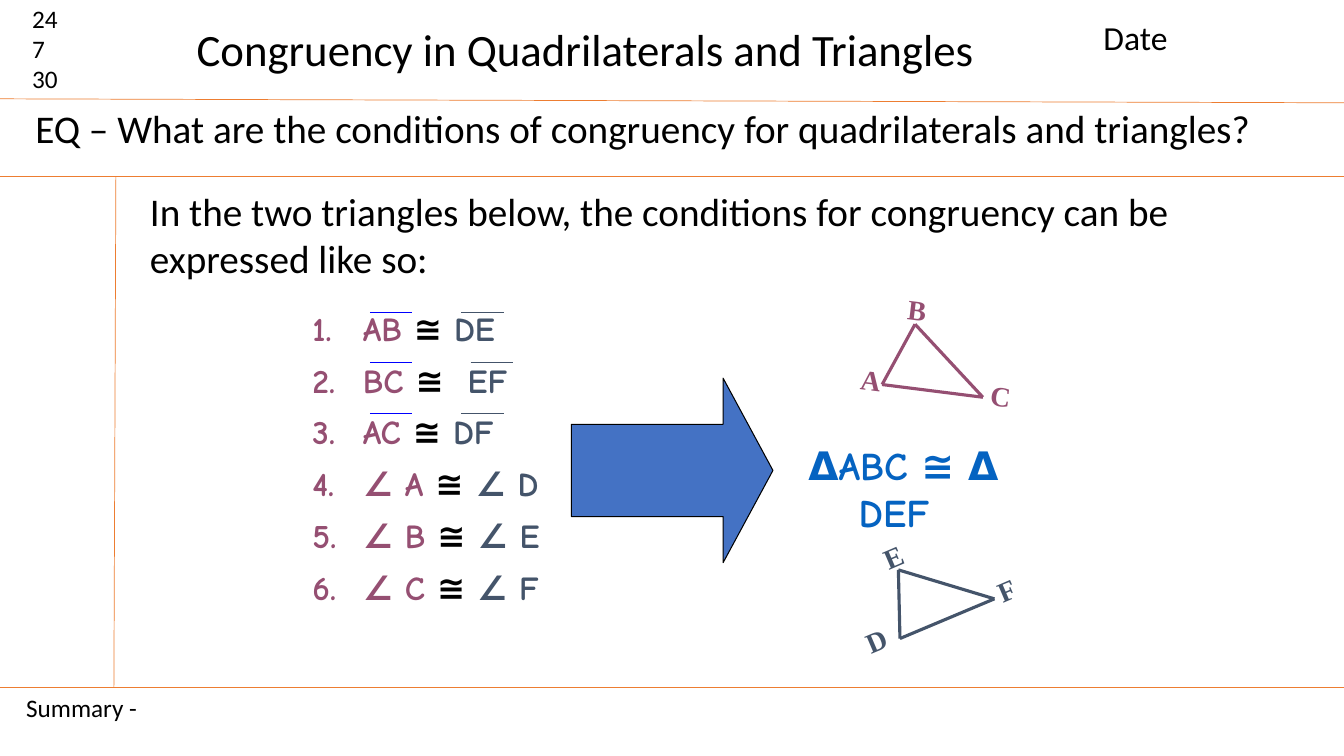
from itertools import combinations

from lxml.etree import SubElement
from pptx import Presentation
from pptx.dml.color import RGBColor
from pptx.enum.shapes import MSO_CONNECTOR as Connector
from pptx.enum.shapes import MSO_SHAPE as Preset
from pptx.enum.text import MSO_ANCHOR as Anchor
from pptx.enum.text import MSO_AUTO_SIZE as AutoSize
from pptx.enum.text import PP_ALIGN as Align
from pptx.oxml.ns import qn
from pptx.util import Cm, Pt

WIDTH, HEIGHT = 33.87, 19.05
BLACK, ORANGE, PLUM, SLATE = "000000", "ED7D31", "954F72", "44546A"
BLUE, LINK_BLUE, OVERLINE_BLUE = "4472C4", "0563C1", "0000FF"
COMIC, TIMES = "Comic Neue", "Times New Roman"

TITLE = "Congruency in Quadrilaterals and Triangles"
# text, (left, top, width, height) in cm, size in points
NOTES = [
    (["24", "7", "30"], (0.56, -0.05, 1.6, 2.57), 18),
    (["Date"], (27.56, 0.3, 4.39, 1.27), 24),
    (["EQ – What are the conditions of congruency for quadrilaterals and triangles?"],
     (0.64, 2.51, 31.32, 1.45), 28),
    (["Summary -"], (0.41, 17.32, 3.48, 1.02), 18),
    (["In the two triangles below, the conditions for congruency can be expressed like so:"],
     (3.53, 4.6, 29.74, 2.64), 28),
]
CONCLUSION = "ΔABC ≅ Δ DEF"
CONDITIONS = [
    ("AB ", "≅ ", "DE"),
    ("BC ", "≅  ", "EF"),
    ("AC ", "≅ ", "DF"),
    ("∠ A ", "≅ ", "∠ D"),
    ("∠ B ", "≅ ", "∠ E"),
    ("∠ C ", "≅ ", "∠ F"),
]
PAGE_RULES = [
    ((0, 2.49), (WIDTH, 2.59)),
    ((0, 4.45), (WIDTH, 4.45)),
    ((2.92, 4.45), (2.87, 17.32)),
    ((0, 17.32), (WIDTH, 17.32)),
]
# colour, letter rotation, {letter: (vertex, letter centre)}
TRIANGLES = [
    (PLUM, 7, {"A": ((22.23, 9.69), (21.95, 9.56)),
               "B": ((23.06, 8.17), (23.13, 7.79)),
               "C": ((24.77, 10.01), (25.22, 9.97))}),
    (SLATE, 336.8, {"D": ((22.68, 16.09), (22.07, 16.12)),
                    "E": ((22.64, 14.36), (22.52, 14.01)),
                    "F": ((25.06, 15.09), (25.39, 14.85))}),
]
LETTER_WIDTH, LETTER_HEIGHT = 0.5, 0.84
OVERLINE_TOP, ROW_PITCH, OVERLINE_LENGTH = 7.87, 1.27, 1.06
LEFT_OVERLINE = 9.32
RIGHT_OVERLINES = [11.63, 11.86, 11.63]


def rgb(value):
    return RGBColor.from_string(value)


def place(shape, box):
    shape.left, shape.top, shape.width, shape.height = map(Cm, box)


def hang(paragraph, indent=1.27):
    """Give the paragraph a hanging indent in cm."""
    properties = paragraph._p.get_or_add_pPr()
    properties.set("marL", str(Cm(indent)))
    properties.set("indent", str(-Cm(indent)))
    return properties


def write(paragraph, text, size=18, color=BLACK, font="Calibri", bold=False):
    run = paragraph.add_run()
    run.text = text
    run.font.size = Pt(size)
    run.font.color.rgb = rgb(color)
    run.font.name = font
    run.font.bold = bold


def add_text(slide, lines, box, wrap=True, inset=None, **style):
    shape = slide.shapes.add_textbox(*map(Cm, box))
    frame = shape.text_frame
    frame.word_wrap = wrap
    if inset is not None:
        frame.margin_left = frame.margin_right = Cm(inset)
        frame.margin_top = frame.margin_bottom = Cm(inset)
    for index, line in enumerate(lines):
        paragraph = frame.add_paragraph() if index else frame.paragraphs[0]
        write(paragraph, line, **style)
    return shape


def add_line(slide, start, end, color, width):
    line = slide.shapes.add_connector(Connector.STRAIGHT, *map(Cm, (*start, *end)))
    line.line.color.rgb = rgb(color)
    line.line.width = Pt(width)
    SubElement(line._element.spPr, qn("a:effectLst"))


def add_title(slide):
    title = slide.shapes.title
    place(title, (4.7, 0.41, 20.32, 1.63))
    frame = title.text_frame
    frame.word_wrap = False
    frame.auto_size = AutoSize.NONE
    frame.vertical_anchor = Anchor.TOP
    frame.paragraphs[0].alignment = Align.LEFT
    write(frame.paragraphs[0], TITLE, size=32)


def add_conditions(slide):
    body = slide.placeholders[1]
    place(body, (7.62, 7.62, 7.19, 9.27))
    frame = body.text_frame
    frame.auto_size = AutoSize.NONE
    for index, parts in enumerate(CONDITIONS):
        paragraph = frame.add_paragraph() if index else frame.paragraphs[0]
        SubElement(hang(paragraph), qn("a:buAutoNum"), type="arabicPeriod")
        paragraph.space_before = Pt(8.3 if index else 0)
        for part, color in zip(parts, (PLUM, BLACK, SLATE)):
            write(paragraph, part, size=24, color=color, font=COMIC, bold=True)
    for row, right in enumerate(RIGHT_OVERLINES):
        top = OVERLINE_TOP + row * ROW_PITCH
        for left, color in ((LEFT_OVERLINE, OVERLINE_BLUE), (right, SLATE)):
            add_line(slide, (left, top), (left + OVERLINE_LENGTH, top), color, 0.75)


def add_arrow(slide):
    arrow = slide.shapes.add_shape(Preset.RIGHT_ARROW, *map(Cm, (14.4, 9.53, 5.08, 4.65)))
    arrow.adjustments[0] = 0.5
    arrow.adjustments[1] = 0.27
    arrow.shadow.inherit = False
    arrow.fill.solid()
    arrow.fill.fore_color.rgb = rgb(BLUE)
    arrow.line.color.rgb = rgb(BLACK)
    arrow.line.width = Pt(0.75)


def add_triangle(slide, color, rotation, corners):
    vertices = [vertex for vertex, center in corners.values()]
    for start, end in combinations(vertices, 2):
        add_line(slide, start, end, color, 2.25)
    for letter, (vertex, (x, y)) in corners.items():
        box = (x - LETTER_WIDTH / 2, y - LETTER_HEIGHT / 2, LETTER_WIDTH, LETTER_HEIGHT)
        label = add_text(slide, [letter], box, wrap=False, inset=0,
                         size=20, color=color, font=TIMES, bold=True)
        label.rotation = rotation


def main():
    presentation = Presentation()
    presentation.slide_width, presentation.slide_height = Cm(WIDTH), Cm(HEIGHT)
    slide = presentation.slides.add_slide(presentation.slide_layouts[1])
    for start, end in PAGE_RULES:
        add_line(slide, start, end, ORANGE, 0.5)
    add_title(slide)
    for lines, box, size in NOTES:
        add_text(slide, lines, box, size=size)
    add_arrow(slide)
    conclusion = add_text(slide, [CONCLUSION], (20.12, 11, 7.19, 3.23),
                          size=28, color=LINK_BLUE, font=COMIC, bold=True)
    hang(conclusion.text_frame.paragraphs[0])
    for triangle in TRIANGLES:
        add_triangle(slide, *triangle)
    add_conditions(slide)
    presentation.save("out.pptx")


if __name__ == "__main__":
    main()
